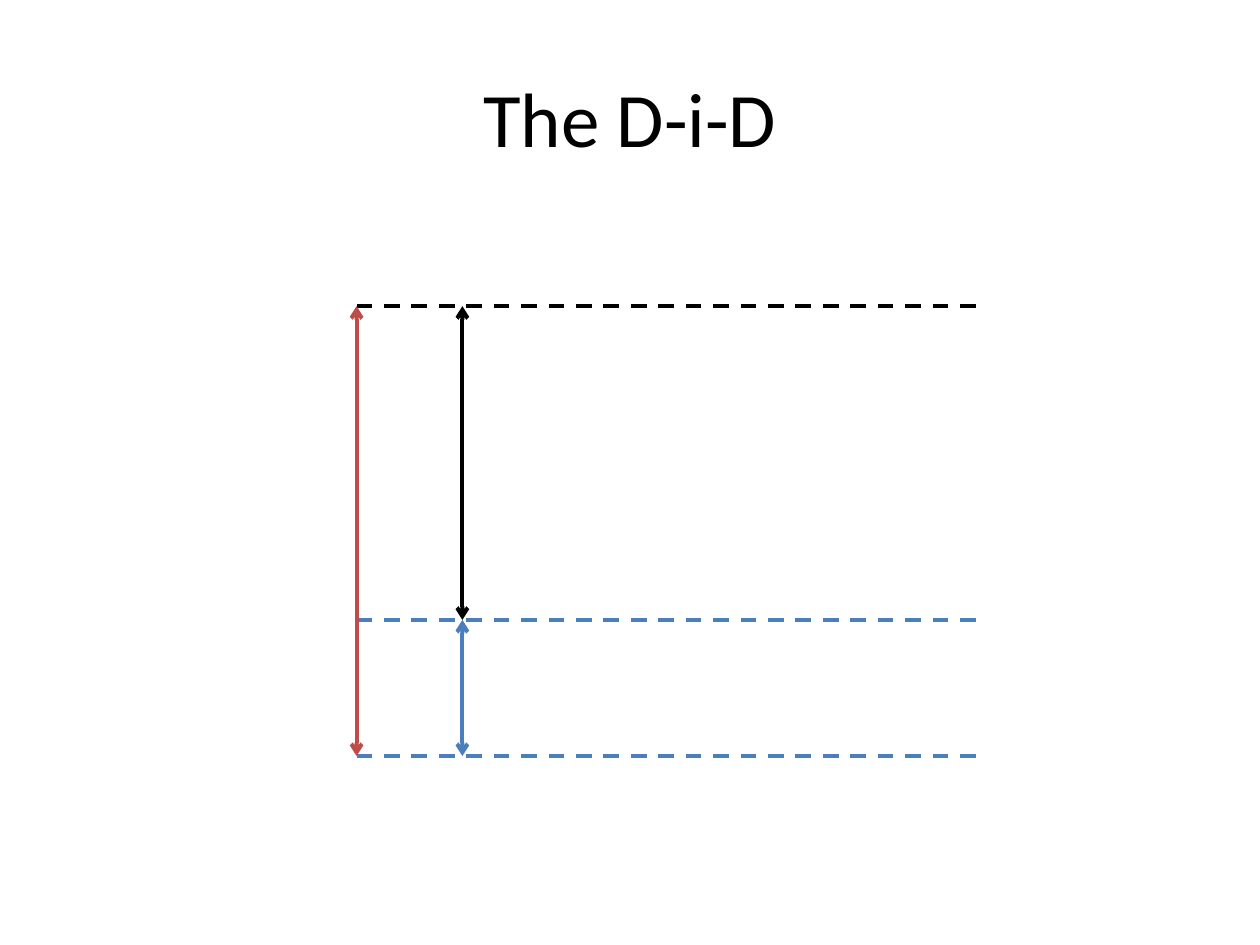
from pptx import Presentation
from pptx.dml.color import RGBColor
from pptx.enum.dml import MSO_LINE
from pptx.enum.shapes import MSO_CONNECTOR
from pptx.enum.text import MSO_ANCHOR, PP_ALIGN
from pptx.oxml.ns import qn
from pptx.util import Inches, Pt
from lxml.etree import SubElement


def color(value):
    return RGBColor.from_string(value)


def add_line(s, x1, y1, x2, y2, line_color):
    sp = s.shapes.add_connector(
        MSO_CONNECTOR.STRAIGHT, Inches(x1), Inches(y1), Inches(x2), Inches(y2))
    sp.line.color.rgb = color(line_color)
    sp.line.width = Pt(2.25)
    SubElement(sp._element.spPr, qn("a:effectLst"))
    return sp


RED, BLUE, BLACK = "BF4C48", "4B7EBC", "000000"
LEFT, MIDDLE, RIGHT = 2.83, 3.67, 7.83
TOP, SPLIT, BOTTOM = 2.43, 4.92, 6

prs = Presentation()
prs.slide_width, prs.slide_height = Inches(10), Inches(7.5)
s = prs.slides.add_slide(prs.slide_layouts[5])

title = s.shapes.title
title.left, title.top = Inches(0.5), Inches(0.3)
title.width, title.height = Inches(9), Inches(1.25)
tf = title.text_frame
tf.text = "The D-i-D"
tf.vertical_anchor = MSO_ANCHOR.MIDDLE
p = tf.paragraphs[0]
p.alignment = PP_ALIGN.CENTER
r = p.runs[0]
r.font.color.rgb = color(BLACK)
for name, value in {"name": "Calibri", "size": Pt(44)}.items():
    setattr(r.font, name, value)

for y, line_color in [(BOTTOM, BLUE), (SPLIT, BLUE), (TOP, BLACK)]:
    level = add_line(s, LEFT, y, RIGHT, y, line_color)
    level.line.dash_style = MSO_LINE.DASH

for x, y1, y2, line_color in [
    (LEFT, TOP, BOTTOM, RED),
    (MIDDLE, SPLIT, BOTTOM, BLUE),
    (MIDDLE, TOP, SPLIT, BLACK),
]:
    arrow = add_line(s, x, y1, x, y2, line_color)
    ln = arrow.line._get_or_add_ln()
    for end in ("a:headEnd", "a:tailEnd"):
        SubElement(ln, qn(end), type="arrow")

prs.save("out.pptx")
